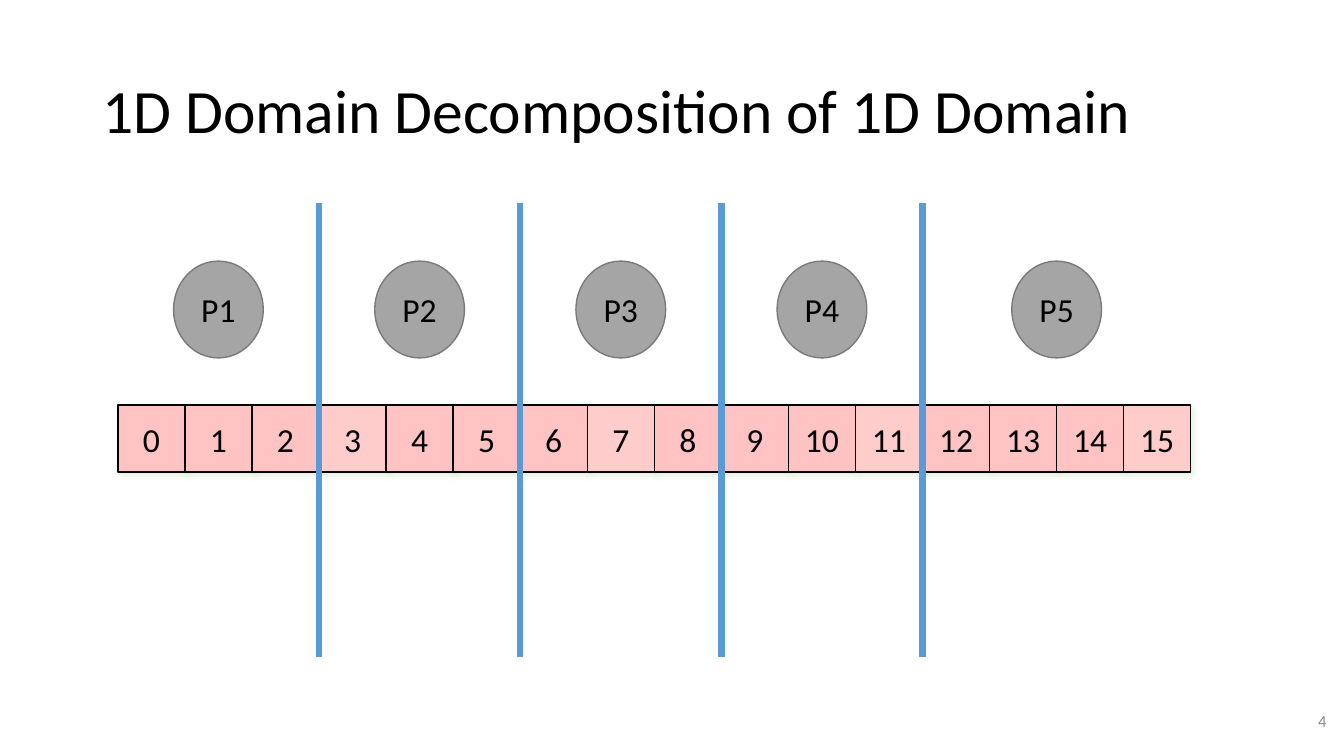
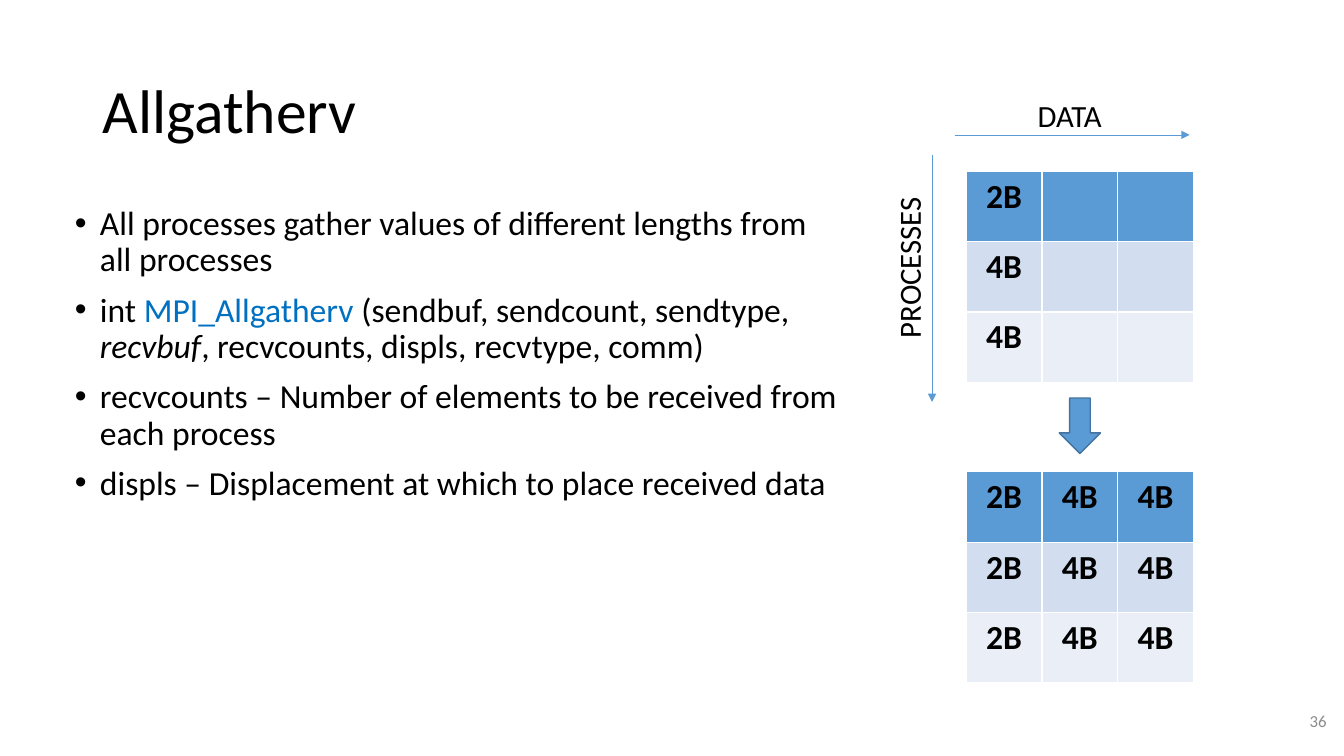
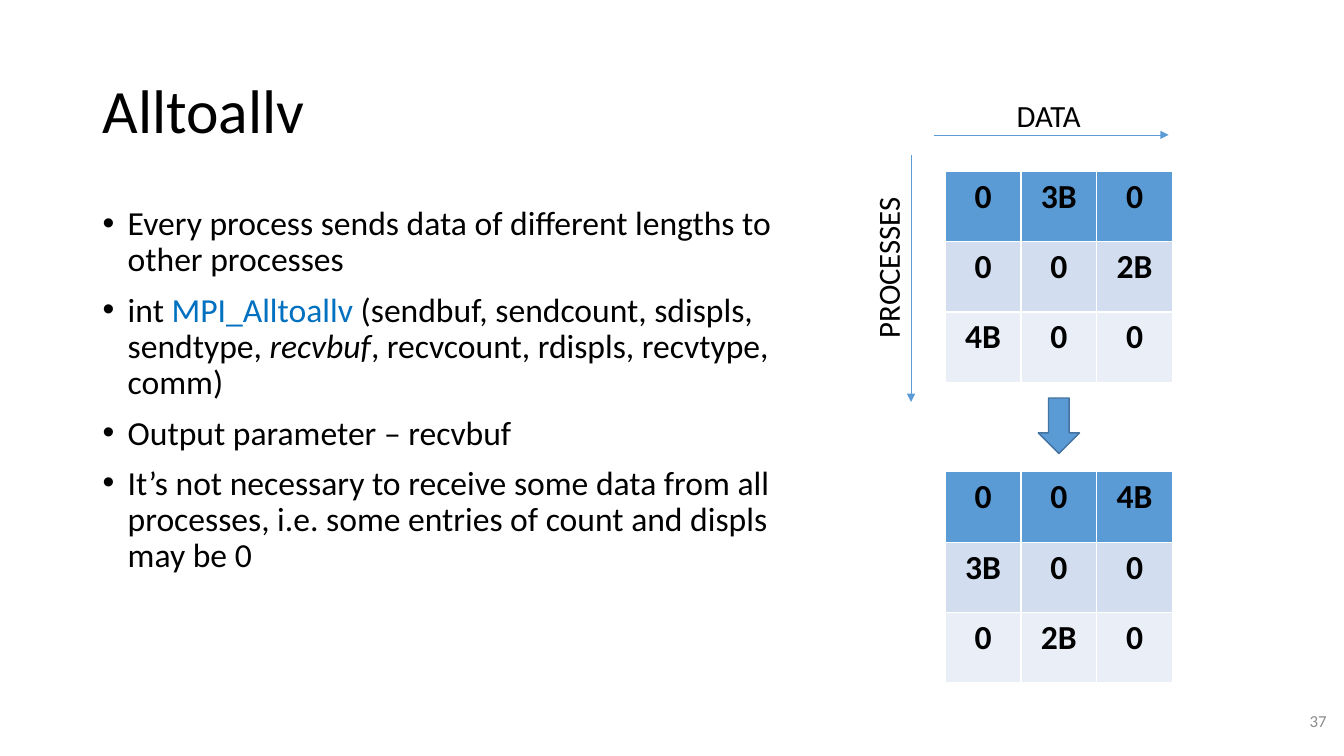
from lxml import etree
from pptx import Presentation
from pptx import util as u
from pptx.dml.color import RGBColor
from pptx.enum import shapes, text
from pptx.oxml.ns import qn

Cm, Pt = u.Cm, u.Pt
FONT = "Calibri"
BLACK, GREY, CALL = "000000", "8C8C8C", "0070C0"
BLUE, DARK_BLUE = "5B9BD5", "43739E"
PINK, LIGHT_PINK = "FFC3C3", "FFCCCC"
ROW_FILLS = [BLUE, "D2DEEF", "EAEFF7"]
LEFT, CENTER, RIGHT = text.PP_ALIGN.LEFT, text.PP_ALIGN.CENTER, text.PP_ALIGN.RIGHT
MIDDLE = text.MSO_ANCHOR.MIDDLE

DOMAIN = {"title": "1D Domain Decomposition of 1D Domain", "number": 4,
          "points": 16, "starts": [0, 3, 6, 9, 12]}

# Bullets are lists of runs: plain text, or (text, "call" or "output").
COLLECTIVES = [
    {"title": "Allgatherv", "number": 36,
     "body": (1.63, 19.74), "diagram_left": 24.35,
     "bullets": [
         ["All processes gather values of different lengths from all processes"],
         ["int ", ("MPI_Allgatherv", "call"), " (sendbuf, sendcount, sendtype, ",
          ("recvbuf", "output"), ", recvcounts, displs, recvtype, comm)"],
         ["recvcounts – Number of elements to be received from each process"],
         ["displs – Displacement at which to place received data"]],
     "before": [["2B", "", ""], ["4B", "", ""], ["4B", "", ""]],
     "after": [["2B", "4B", "4B"]] * 3},
    {"title": "Alltoallv", "number": 37,
     "body": (2.33, 17.91), "diagram_left": 23.82,
     "bullets": [
         ["Every process sends data of different lengths to other processes"],
         ["int ", ("MPI_Alltoallv", "call"), " (sendbuf, sendcount, sdispls, sendtype, ",
          ("recvbuf", "output"), ", recvcount, rdispls, recvtype, comm)"],
         ["Output parameter – recvbuf"],
         ["It’s not necessary to receive some data from all processes, "
          "i.e. some entries of count and displs may be 0"]],
     "before": [["0", "3B", "0"], ["0", "0", "2B"], ["4B", "0", "0"]],
     "after": [["0", "0", "4B"], ["3B", "0", "0"], ["0", "2B", "0"]]},
]


def rgb(color):
    return RGBColor.from_string(color)


def box(*lengths):
    return [Cm(n) for n in lengths]


def place(sp, left, top, width, height):
    sp.left, sp.top, sp.width, sp.height = box(left, top, width, height)


def style_run(r, size, color=BLACK, bold=False, italic=False):
    f = r.font
    f.name, f.size, f.bold, f.italic = FONT, Pt(size), bold, italic
    f.color.rgb = rgb(color)


def write(tf, content, size, color=BLACK, align=LEFT, bold=False):
    """Fill a text frame or cell frame with one formatted paragraph."""
    tf.text = content
    p = tf.paragraphs[0]
    p.alignment = align
    for r in p.runs:
        style_run(r, size, color, bold)
    return p


def add_slide(prs, layout, title, number):
    slide = prs.slides.add_slide(prs.slide_layouts[layout])
    sp = slide.shapes.title
    place(sp, 2.33, 1.01, 29.21, 3.68)
    p = write(sp.text_frame, title, 44)
    p.line_spacing = 0.9
    sp.text_frame.vertical_anchor = MIDDLE
    sp.text_frame.auto_size = text.MSO_AUTO_SIZE.NONE
    tf = slide.shapes.add_textbox(*box(26.06, 17.65, 7.62, 1.01)).text_frame
    tf.word_wrap = True
    tf.vertical_anchor = MIDDLE
    write(tf, str(number), 12, GREY, RIGHT)
    return slide


def add_shape(slide, kind, bounds, fill, line, label=""):
    sp = slide.shapes.add_shape(kind, *box(*bounds))
    sp.shadow.inherit = False
    sp.fill.solid()
    sp.fill.fore_color.rgb = rgb(fill)
    sp.line.color.rgb = rgb(line)
    sp.line.width = Pt(1)
    if label:
        write(sp.text_frame, label, 24, align=CENTER)
        sp.text_frame.vertical_anchor = MIDDLE
    return sp


def add_green_shadow(sp):
    effects = sp._element.spPr.find(qn("a:effectLst"))
    shadow = etree.SubElement(effects, qn("a:outerShdw"), blurRad=str(Pt(4)),
                              dist=str(Pt(3)), dir="2700000", algn="tl")
    color = etree.SubElement(shadow, qn("a:srgbClr"), val="C5E0B4")
    etree.SubElement(color, qn("a:alpha"), val="40000")


def add_line(slide, ends, width, arrow=False):
    line = slide.shapes.add_connector(shapes.MSO_CONNECTOR.STRAIGHT, *box(*ends))
    line.line.color.rgb = rgb(BLUE)
    line.line.width = Pt(width)
    if arrow:
        etree.SubElement(line.line._get_or_add_ln(), qn("a:tailEnd"), type="triangle")
    etree.SubElement(line._element.spPr, qn("a:effectLst"))


def add_axis_label(slide, label, bounds, rotation=0):
    sp = slide.shapes.add_textbox(*box(*bounds))
    sp.rotation = rotation
    sp.text_frame.word_wrap = False
    sp.text_frame.auto_size = text.MSO_AUTO_SIZE.SHAPE_TO_FIT_TEXT
    write(sp.text_frame, label, 22)


def add_bullets(slide, bullets, left, width):
    sp = slide.placeholders[1]
    place(sp, left, 5.08, width, 12.09)
    tf = sp.text_frame
    tf.auto_size = text.MSO_AUTO_SIZE.NONE
    for i, runs in enumerate(bullets):
        p = tf.add_paragraph() if i else tf.paragraphs[0]
        pPr = p._p.get_or_add_pPr()
        pPr.set("marL", str(Pt(18)))
        pPr.set("indent", str(-Pt(18)))
        p.line_spacing = 0.9
        p.space_before = Pt(10 if i else 0)
        for run in runs:
            content, role = (run, "") if isinstance(run, str) else run
            r = p.add_run()
            r.text = content
            style_run(r, 24, CALL if role == "call" else BLACK, italic=role == "output")


def add_buffer_table(slide, rows, left, top, col, row):
    table = slide.shapes.add_table(
        len(rows), len(rows[0]),
        *box(left, top, col * len(rows[0]), row * len(rows))).table
    for i, (values, fill) in enumerate(zip(rows, ROW_FILLS)):
        for j, value in enumerate(values):
            cell = table.cell(i, j)
            cell.fill.solid()
            cell.fill.fore_color.rgb = rgb(fill)
            write(cell.text_frame, value, 24, align=CENTER, bold=True)


def build_domain(prs):
    slide = add_slide(prs, 5, DOMAIN["title"], DOMAIN["number"])
    left, top, size = 2.97, 10.21, 1.69
    points, starts = DOMAIN["points"], DOMAIN["starts"]
    for i in range(points):
        sp = add_shape(slide, shapes.MSO_SHAPE.RECTANGLE,
                       (left + i * size, top, size, size),
                       LIGHT_PINK if i % 4 == 3 else PINK, BLACK, str(i))
        sp.text_frame.word_wrap = False
        add_green_shadow(sp)
    for start in starts[1:]:
        x = left + start * size
        add_line(slide, (x, 5.12, x, 16.55), 4.5)
    width, height = 2.26, 2.44
    for n, (start, end) in enumerate(zip(starts, starts[1:] + [points]), 1):
        middle = left + (start + end) / 2 * size
        add_shape(slide, shapes.MSO_SHAPE.OVAL,
                  (middle - width / 2, 6.58, width, height), "A5A5A5", "7A7A7A", f"P{n}")


def build_collective(prs, info):
    slide = add_slide(prs, 1, info["title"], info["number"])
    add_bullets(slide, info["bullets"], *info["body"])
    left, col, row = info["diagram_left"], 1.91, 1.77
    add_buffer_table(slide, info["after"], left, 11.89, col, row)
    add_buffer_table(slide, info["before"], left, 4.32, col, row)
    add_shape(slide, shapes.MSO_SHAPE.DOWN_ARROW,
              (left + 1.5 * col - 0.52, 10.03, 1.04, 1.4), BLUE, DARK_BLUE)
    add_line(slide, (left - 0.29, 3.4, left + 5.63, 3.4), 0.5, arrow=True)
    add_axis_label(slide, "DATA", (left + 1.55, 2.31, 2.16, 1.19))
    add_line(slide, (left - 0.86, 3.91, left - 0.86, 10.13), 0.5, arrow=True)
    add_axis_label(slide, "PROCESSES", (left - 3.5, 6.12, 4.11, 1.19), 270)


def main():
    prs = Presentation()
    prs.slide_width, prs.slide_height = box(33.87, 19.05)
    build_domain(prs)
    for info in COLLECTIVES:
        build_collective(prs, info)
    prs.save("out.pptx")


if __name__ == "__main__":
    main()
